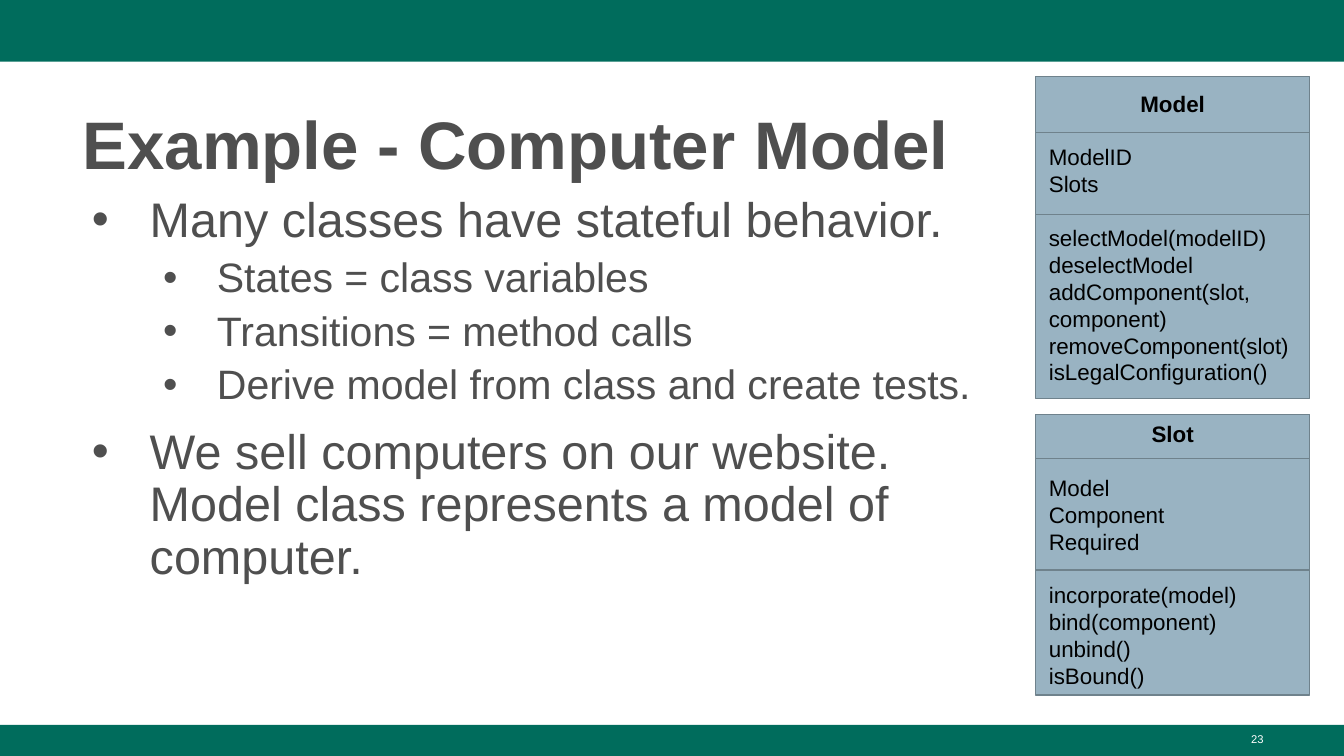
import pptx
import pptx.util
import pptx.dml.color
import pptx.enum.shapes
import pptx.enum.text
import pptx.oxml.ns
import lxml.etree

Pt = pptx.util.Pt
Align = pptx.enum.text.PP_ALIGN
Anchor = pptx.enum.text.MSO_ANCHOR
RECT = pptx.enum.shapes.MSO_SHAPE.RECTANGLE
LINE = pptx.enum.shapes.MSO_CONNECTOR.STRAIGHT

WIDE, HIGH = 100, 56.25
CELL = pptx.util.Inches(0.1)
GREEN, GREY, BLUE, EDGE = "006C5C", "4F4F4F", "99B3C2", "6F828C"
LEVELS = [(26, 10, 0.5, -0.43), (22, 5, 1, -0.4)]


def grid(*cells):
    return [round(cell * CELL) for cell in cells]


def color(code):
    return pptx.dml.color.RGBColor.from_string(code)


def style(par, size, code, bold=False):
    for run in par.runs:
        font = run.font
        font.name, font.size, font.bold = "Arial", Pt(size), bold
        font.color.rgb = color(code)


def place(shape, box):
    shape.left, shape.top, shape.width, shape.height = grid(*box)


def add_node(parent, tag, **attrs):
    return lxml.etree.SubElement(parent, pptx.oxml.ns.qn(tag), **attrs)


def add_rect(slide, box, fill, edge=None):
    rect = slide.shapes.add_shape(RECT, *grid(*box))
    rect.shadow.inherit = False
    rect.fill.solid()
    rect.fill.fore_color.rgb = color(fill)
    if edge:
        rect.line.color.rgb = color(edge)
        rect.line.width = Pt(0.75)
    else:
        rect.line.fill.background()
    return rect


def add_rule(slide, left, top, width):
    rule = slide.shapes.add_connector(LINE, *grid(left, top, left + width, top))
    rule.line.color.rgb = color(EDGE)
    rule.line.width = Pt(0.75)
    add_node(rule._element.spPr, "a:effectLst")


def add_title(slide, box, text):
    title = slide.shapes.title
    place(title, box)
    frame = title.text_frame
    frame.text = text
    frame.auto_size = pptx.enum.text.MSO_AUTO_SIZE.NONE
    frame.vertical_anchor = Anchor.MIDDLE
    par = frame.paragraphs[0]
    par.alignment = Align.LEFT
    par.line_spacing = 1.08
    style(par, 36, GREY, True)


def add_list(slide, box, items):
    body = slide.placeholders[1]
    place(body, box)
    frame = body.text_frame
    frame.text = "\n".join(text for level, text in items)
    frame.auto_size = pptx.enum.text.MSO_AUTO_SIZE.NONE
    frame.vertical_anchor = Anchor.TOP
    for nth, (par, (level, text)) in enumerate(zip(frame.paragraphs, items)):
        size, gap, left, hang = LEVELS[level]
        par.level = level
        props = par._p.get_or_add_pPr()
        props.set("marL", str(pptx.util.Inches(left)))
        props.set("indent", str(pptx.util.Inches(hang)))
        add_node(add_node(props, "a:buClr"), "a:srgbClr", val=GREY)
        add_node(props, "a:buFont", typeface="Arial")
        add_node(props, "a:buChar", char="•")
        par.line_spacing = 0.9
        par.space_before = Pt(gap if nth else 0)
        style(par, size, GREY)


def add_class(slide, box, parts, cuts):
    left, top, width, height = box
    card = add_rect(slide, box, BLUE, EDGE)
    frame = card.text_frame
    frame.word_wrap = True
    frame.vertical_anchor = Anchor.MIDDLE
    frame.margin_left, frame.margin_top, frame.margin_right, frame.margin_bottom = grid(1, 1, 1, 1)
    frame.text = "\n".join(line for part in parts for line in part)
    pars = iter(frame.paragraphs)
    for nth, part in enumerate(parts):
        for row, line in enumerate(part):
            par = next(pars)
            par.alignment = Align.LEFT if nth else Align.CENTER
            par.space_before = Pt(14.4 if nth and row == 0 else 0)
            style(par, 12, "000000", nth == 0)
    for cut in cuts:
        add_rule(slide, left, top + cut, width)


def add_page(slide, box, text):
    note = slide.shapes.add_textbox(*grid(*box))
    frame = note.text_frame
    frame.word_wrap = True
    frame.text = text
    par = frame.paragraphs[0]
    par.alignment = Align.RIGHT
    style(par, 6, "FFFFFF")


def main():
    deck = pptx.Presentation()
    deck.slide_width, deck.slide_height = grid(WIDE, HIGH)
    slide = deck.slides.add_slide(deck.slide_layouts[1])
    add_rect(slide, (0, 0, WIDE, 4.6), GREEN)
    add_rect(slide, (0, HIGH - 2.3, WIDE, 2.3), GREEN)
    add_title(slide, (5.14, 6.74, 89.9, 7.3), "Example - Computer Model")
    add_list(slide, (5.14, 14.04, 68.4, 38.1), [
        (0, "Many classes have stateful behavior."),
        (1, "States = class variables"),
        (1, "Transitions = method calls"),
        (1, "Derive model from class and create tests."),
        (0, "We sell computers on our website. Model class represents a model of computer."),
    ])
    add_page(slide, (71.7, 54, 23.3, 2.25), "23")
    add_class(slide, (77.06, 5.7, 20.4, 23.95), [
        ["Model"],
        ["ModelID", "Slots"],
        ["selectModel(modelID)", "deselectModel", "addComponent(slot, component)",
         "removeComponent(slot)", "isLegalConfiguration()"],
    ], (4.16, 10.28))
    add_class(slide, (77.06, 30.82, 20.4, 20.9), [
        ["Slot"],
        ["Model", "Component", "Required"],
        ["incorporate(model)", "bind(component)", "unbind()", "isBound()"],
    ], (3.3, 11.6))
    deck.save("out.pptx")


if __name__ == "__main__":
    main()
